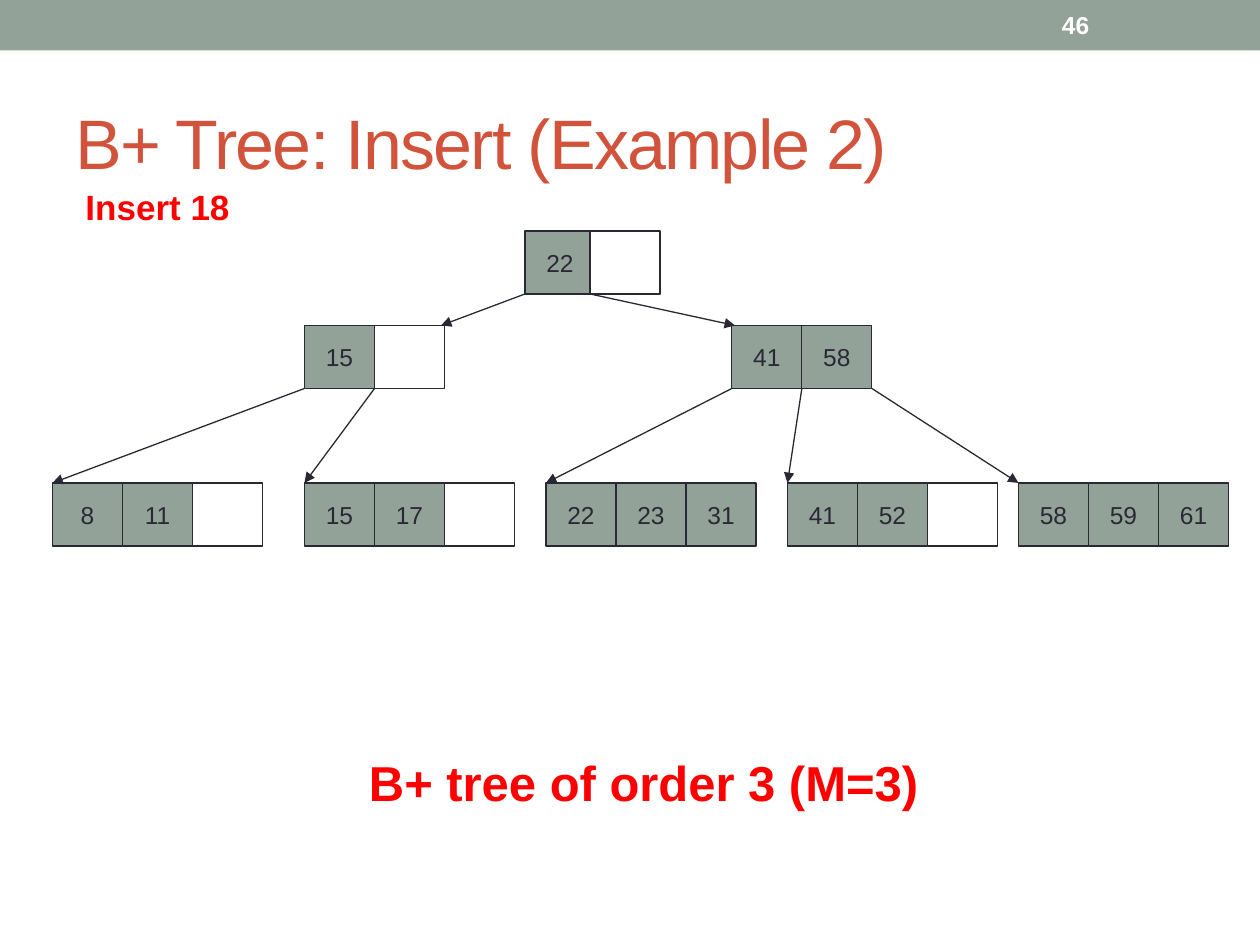
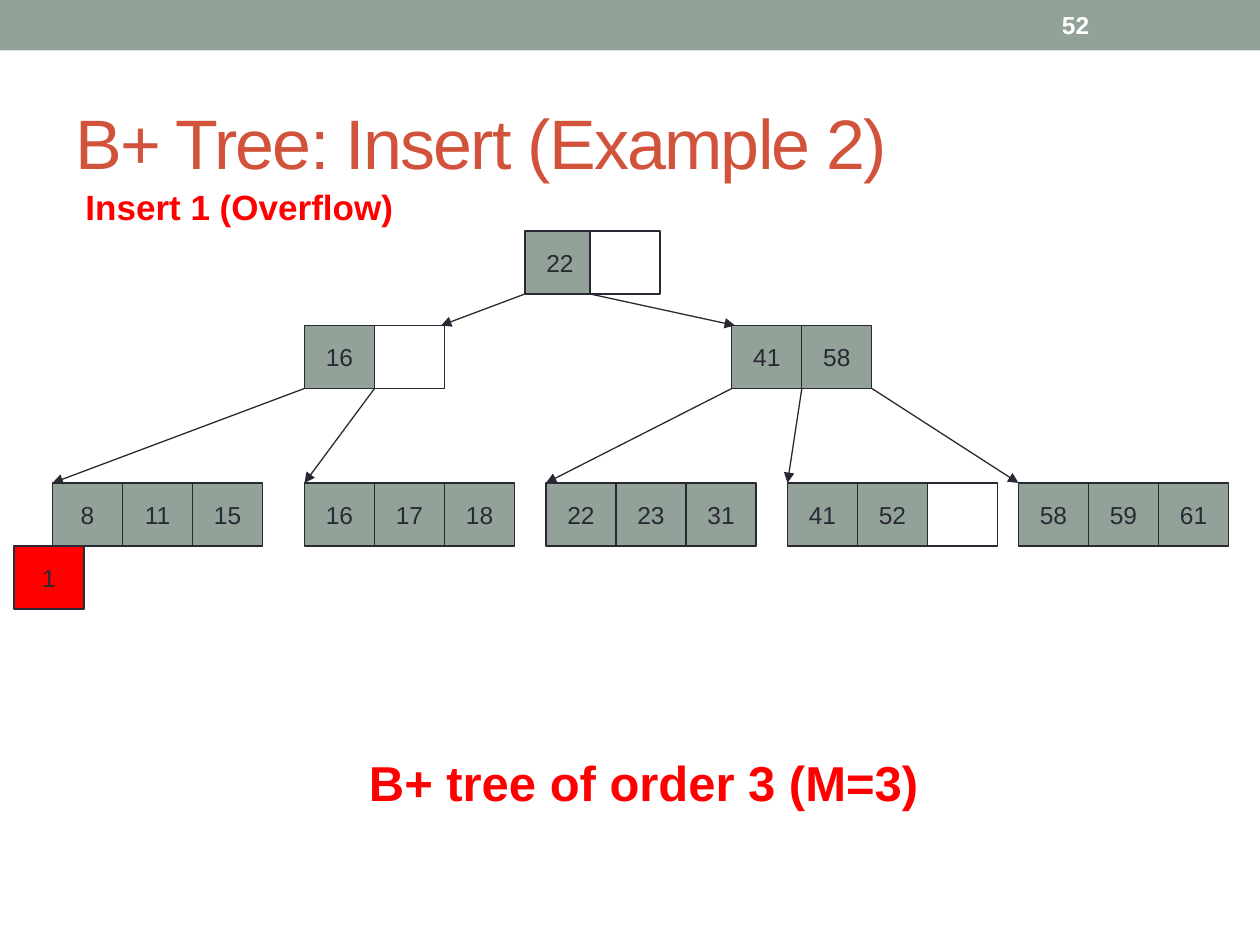
import pptx
import pptx.dml.color
import pptx.enum.shapes
import pptx.enum.text
import pptx.oxml
import pptx.oxml.ns
import pptx.util

COLORS = {"sage": "93A299", "brick": "D2533C", "red": "FF0000",
          "ink": "292934", "white": "FFFFFF"}
FONT = "Arial"
WIDTH, HEIGHT = 10, 7.5

# Trees are laid out on a grid of 120 columns by 90 rows.
GRID_COLUMNS, GRID_ROWS = 120, 90
CELL_WIDTH, CELL_HEIGHT = 6.67, 6

TITLE = "B+ Tree: Insert (Example 2)"
CAPTION = "B+ tree of order 3 (M=3)"

# Node name: left column, top row, cell step, column where the parent's arrow lands
NODES = {
    "root": (50, 22, 6.2, None),
    "inner left": (29, 31, CELL_WIDTH, 42),
    "inner right": (69.7, 31, CELL_WIDTH, 70),
    "leaf 1": (5, 46, CELL_WIDTH, 5),
    "leaf 2": (29, 46, CELL_WIDTH, 29),
    "leaf 3": (52, 46, CELL_WIDTH, 52),
    "leaf 4": (75, 46, CELL_WIDTH, 75),
    "leaf 5": (97, 46, CELL_WIDTH, 97),
}
CHILDREN = {
    "root": ["inner left", "inner right"],
    "inner left": ["leaf 1", "leaf 2"],
    "inner right": ["leaf 3", "leaf 4", "leaf 5"],
}
OVERFLOW_AT = (1.33, 52)

# An empty string is a free slot.
SHARED_KEYS = {
    "root": ["22", ""],
    "inner right": ["41", "58"],
    "leaf 3": ["22", "23", "31"],
    "leaf 4": ["41", "52", ""],
    "leaf 5": ["58", "59", "61"],
}
STEPS = [
    {"page": "46", "label": "Insert 18", "label_width": 1.42, "overflow": None,
     "keys": {"inner left": ["15", ""],
              "leaf 1": ["8", "11", ""],
              "leaf 2": ["15", "17", ""]}},
    {"page": "52", "label": "Insert 1 (Overflow)", "label_width": 2.72, "overflow": "1",
     "keys": {"inner left": ["16", ""],
              "leaf 1": ["8", "11", "15"],
              "leaf 2": ["16", "17", "18"]}},
]

TEXT_STYLES = {
    "title": {"size": 40, "color": "brick", "bold": False},
    "page": {"size": 14, "color": "white", "bold": True},
    "caption": {"size": 28, "color": "red", "bold": True},
    "label": {"size": 20, "color": "red", "bold": True},
    "key": {"size": 14, "color": "ink", "bold": False},
}


def rgb(name):
    return pptx.dml.color.RGBColor.from_string(COLORS[name])


def grid_x(column):
    return pptx.util.Inches(column * WIDTH / GRID_COLUMNS)


def grid_y(row):
    return pptx.util.Inches(row * HEIGHT / GRID_ROWS)


def write(shape, text, style_name, **frame_format):
    style = TEXT_STYLES[style_name]
    for name, value in frame_format.items():
        setattr(shape.text_frame, name, value)
    paragraph = shape.text_frame.paragraphs[0]
    run = paragraph.add_run()
    run.text = text
    font_format = {"name": FONT, "size": pptx.util.Pt(style["size"]), "bold": style["bold"]}
    for name, value in font_format.items():
        setattr(run.font, name, value)
    run.font.color.rgb = rgb(style["color"])
    return paragraph, run


def add_text(slide, box, text, style_name, **frame_format):
    shape = slide.shapes.add_textbox(*map(pptx.util.Inches, box))
    return write(shape, text, style_name, **frame_format)


def add_rectangle(shapes, box, fill):
    shape = shapes.add_shape(pptx.enum.shapes.MSO_SHAPE.RECTANGLE, *box)
    shape.shadow.inherit = False
    shape.fill.solid()
    shape.fill.fore_color.rgb = rgb(fill)
    shape.line.fill.background()
    return shape


def add_cell(shapes, column, row, key, fill):
    box = grid_x(column), grid_y(row), grid_x(CELL_WIDTH), grid_y(CELL_HEIGHT)
    cell = add_rectangle(shapes, box, fill)
    cell.line.color.rgb = rgb("ink")
    cell.line.width = pptx.util.Pt(0.75)
    if key:
        paragraph, _ = write(cell, key, "key", word_wrap=False,
                             vertical_anchor=pptx.enum.text.MSO_ANCHOR.MIDDLE)
        paragraph.alignment = pptx.enum.text.PP_ALIGN.CENTER


def add_node(slide, name, keys):
    left, top, step, _ = NODES[name]
    group = slide.shapes.add_group_shape()
    for index, key in enumerate(keys):
        add_cell(group.shapes, left + index * step, top, key, "sage" if key else "white")


def add_arrow(slide, start, end):
    arrow = slide.shapes.add_connector(
        pptx.enum.shapes.MSO_CONNECTOR.STRAIGHT,
        grid_x(start[0]), grid_y(start[1]), grid_x(end[0]), grid_y(end[1]))
    arrow.line.color.rgb = rgb("ink")
    arrow.line.width = pptx.util.Pt(0.75)
    properties = arrow._element.spPr
    head = pptx.oxml.parse_xml(
        f'<a:tailEnd {pptx.oxml.ns.nsdecls("a")} type="triangle"/>')
    properties.find(pptx.oxml.ns.qn("a:ln")).append(head)
    properties.append(pptx.oxml.parse_xml(f'<a:effectLst {pptx.oxml.ns.nsdecls("a")}/>'))


def add_branches(slide, parent):
    """Draw an arrow from each pointer at the foot of a node to its child."""
    left, top, step, _ = NODES[parent]
    for index, child in enumerate(CHILDREN[parent]):
        _, child_top, _, landing = NODES[child]
        add_arrow(slide, (left + index * step, top + CELL_HEIGHT), (landing, child_top))


def add_frame(slide, page):
    """Draw the band, title, page number and caption that every slide has."""
    middle = pptx.enum.text.MSO_ANCHOR.MIDDLE
    add_rectangle(slide.shapes, [pptx.util.Inches(n) for n in (0, 0, WIDTH, 0.4)], "sage")
    _, run = add_text(slide, (0.5, 0.58, 9, 1.08), TITLE, "title",
                      word_wrap=True, vertical_anchor=middle)
    run.font._element.set("spc", "-100")
    add_text(slide, (8.33, 0.02, 1.17, 0.36), page, "page",
             word_wrap=True, vertical_anchor=middle)
    add_text(slide, (2.83, 5.92, 4.93, 0.57), CAPTION, "caption", word_wrap=False)


def add_step(presentation, step):
    slide = presentation.slides.add_slide(presentation.slide_layouts[6])
    add_frame(slide, step["page"])
    add_text(slide, (0.58, 1.42, step["label_width"], 0.44), step["label"], "label",
             word_wrap=False)
    for name, keys in {**SHARED_KEYS, **step["keys"]}.items():
        add_node(slide, name, keys)
    for parent in CHILDREN:
        add_branches(slide, parent)
    if step["overflow"]:
        add_cell(slide.shapes, *OVERFLOW_AT, step["overflow"], "red")


def main():
    presentation = pptx.Presentation()
    presentation.slide_width = pptx.util.Inches(WIDTH)
    presentation.slide_height = pptx.util.Inches(HEIGHT)
    for step in STEPS:
        add_step(presentation, step)
    presentation.save("out.pptx")


if __name__ == "__main__":
    main()
